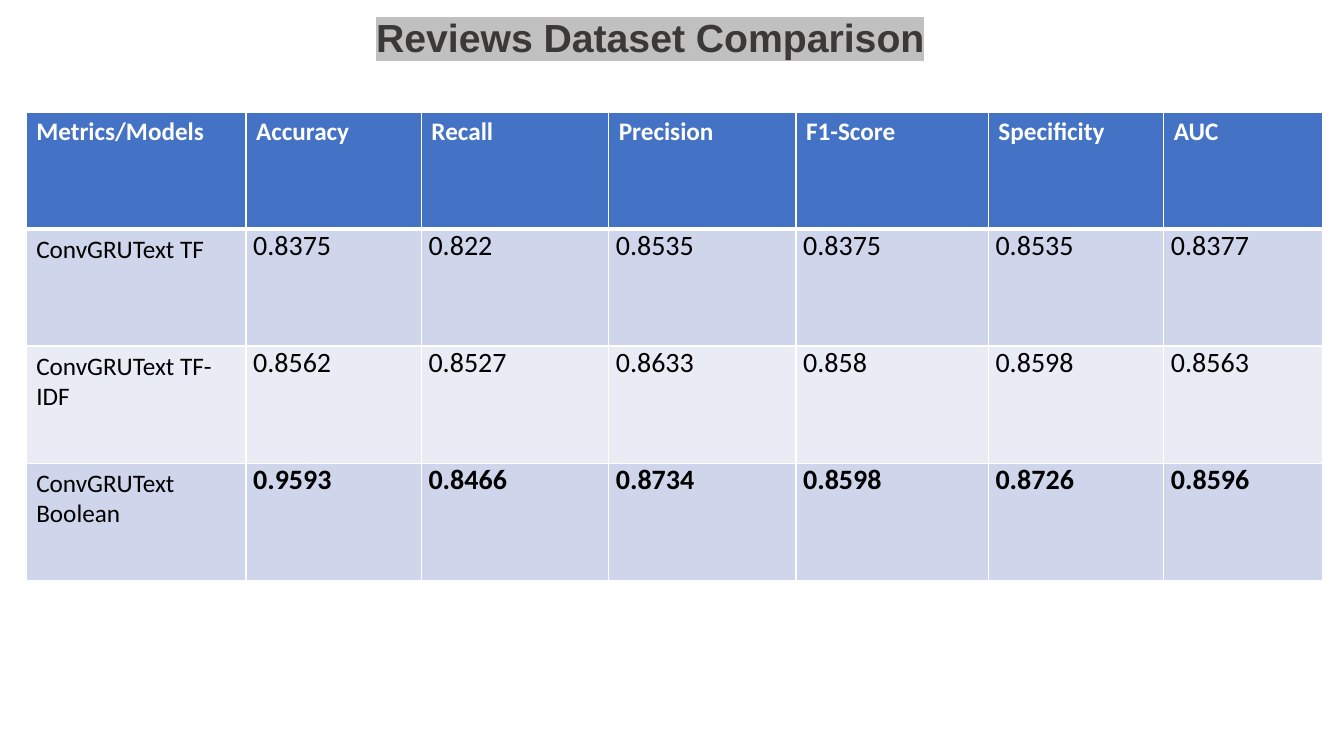
"""Build the slide that compares text models on the reviews dataset."""
from dataclasses import dataclass

from lxml.etree import SubElement
from pptx import Presentation
from pptx.dml.color import RGBColor
from pptx.enum.text import MSO_ANCHOR, MSO_AUTO_SIZE, PP_ALIGN
from pptx.oxml import parse_xml
from pptx.oxml.ns import nsdecls, qn
from pptx.slide import Slide
from pptx.table import _Cell as Cell
from pptx.util import Cm, Pt

WHITE = RGBColor(0xFF, 0xFF, 0xFF)
BLACK = RGBColor(0x00, 0x00, 0x00)
CHARCOAL = RGBColor(0x3B, 0x38, 0x38)
SILVER = RGBColor(0xC0, 0xC0, 0xC0)
BLUE = RGBColor(0x44, 0x72, 0xC4)
DARK_BAND = RGBColor(0xCF, 0xD5, 0xEA)
LIGHT_BAND = RGBColor(0xE9, 0xEB, 0xF5)

COLUMN_WIDTHS = (5.54, 4.42, 4.72, 4.72, 4.85, 4.42, 4.01)
ROW_HEIGHT = 2.95
HEADINGS = ("Metrics/Models", "Accuracy", "Recall", "Precision",
            "F1-Score", "Specificity", "AUC")


@dataclass(frozen=True)
class ModelRow:
    name: str
    scores: tuple[str, ...]
    fill: RGBColor
    best: bool = False


MODELS = (
    ModelRow("ConvGRUText TF",
             ("0.8375", "0.822", "0.8535", "0.8375", "0.8535", "0.8377"), DARK_BAND),
    ModelRow("ConvGRUText TF-IDF",
             ("0.8562", "0.8527", "0.8633", "0.858", "0.8598", "0.8563"), LIGHT_BAND),
    ModelRow("ConvGRUText Boolean",
             ("0.9593", "0.8466", "0.8734", "0.8598", "0.8726", "0.8596"), DARK_BAND,
             best=True),
)


def add_title(page: Slide, text: str) -> None:
    title = page.shapes.title
    title.left, title.top, title.width, title.height = Cm(3.48), Cm(-0.3), Cm(25.81), Cm(1.96)
    frame = title.text_frame
    frame.text = text
    frame.word_wrap = True
    frame.auto_size = MSO_AUTO_SIZE.NONE
    frame.vertical_anchor = MSO_ANCHOR.BOTTOM
    para = frame.paragraphs[0]
    para.alignment = PP_ALIGN.CENTER
    para.line_spacing = 0.9
    span = para.runs[0]
    span.font.name, span.font.size, span.font.bold = "Arial", Pt(28), True
    span.font.color.rgb = CHARCOAL
    highlight = parse_xml(f'<a:highlight {nsdecls("a")}><a:srgbClr val="{SILVER}"/></a:highlight>')
    span.font.fill
    span._r.get_or_add_rPr().find(qn("a:solidFill")).addnext(highlight)


def set_borders(cell: Cell, top: float = 1, bottom: float = 1) -> None:
    properties = cell._tc.get_or_add_tcPr()
    for side, width in (("L", 1), ("R", 1), ("T", top), ("B", bottom)):
        line = SubElement(properties, qn(f"a:ln{side}"), w=str(Pt(width)))
        fill = SubElement(line, qn("a:solidFill"))
        SubElement(fill, qn("a:srgbClr"), val=str(WHITE))


def write_cell(cell: Cell, text: str, fill: RGBColor, color: RGBColor,
               size: float = 18, bold: bool = False) -> None:
    cell.fill.solid()
    cell.fill.fore_color.rgb = fill
    cell.text_frame.text = text
    font = cell.text_frame.paragraphs[0].runs[0].font
    font.name, font.size, font.bold = "Calibri", Pt(size), bold
    font.color.rgb = color


def write_score(cell: Cell, text: str, model: ModelRow) -> None:
    write_cell(cell, text, model.fill, BLACK, size=20, bold=model.best)
    cell.margin_left = cell.margin_right = Cm(0.18)
    cell.margin_top = cell.margin_bottom = Cm(0)
    para = cell.text_frame.paragraphs[0]
    para.alignment = PP_ALIGN.JUSTIFY
    para.space_after = Pt(6)


def add_comparison(page: Slide) -> None:
    row_count = len(MODELS) + 1
    table = page.shapes.add_table(
        row_count, len(HEADINGS), Cm(0.66), Cm(2.82),
        Cm(sum(COLUMN_WIDTHS)), Cm(ROW_HEIGHT * row_count)).table
    for column, width in zip(table.columns, COLUMN_WIDTHS):
        column.width = Cm(width)
    for index, row in enumerate(table.rows):
        row.height = Cm(ROW_HEIGHT)
        for cell in row.cells:
            set_borders(cell, top=3 if index == 1 else 1, bottom=3 if index == 0 else 1)
    for index, heading in enumerate(HEADINGS):
        write_cell(table.cell(0, index), heading, BLUE, WHITE, bold=True)
    for row_index, model in enumerate(MODELS, start=1):
        write_cell(table.cell(row_index, 0), model.name, model.fill, BLACK)
        for index, score in enumerate(model.scores, start=1):
            write_score(table.cell(row_index, index), score, model)


def main() -> None:
    deck = Presentation()
    deck.slide_width, deck.slide_height = Cm(33.87), Cm(19.05)
    page = deck.slides.add_slide(deck.slide_layouts[5])
    add_title(page, "Reviews Dataset Comparison")
    add_comparison(page)
    deck.save("out.pptx")


if __name__ == "__main__":
    main()
